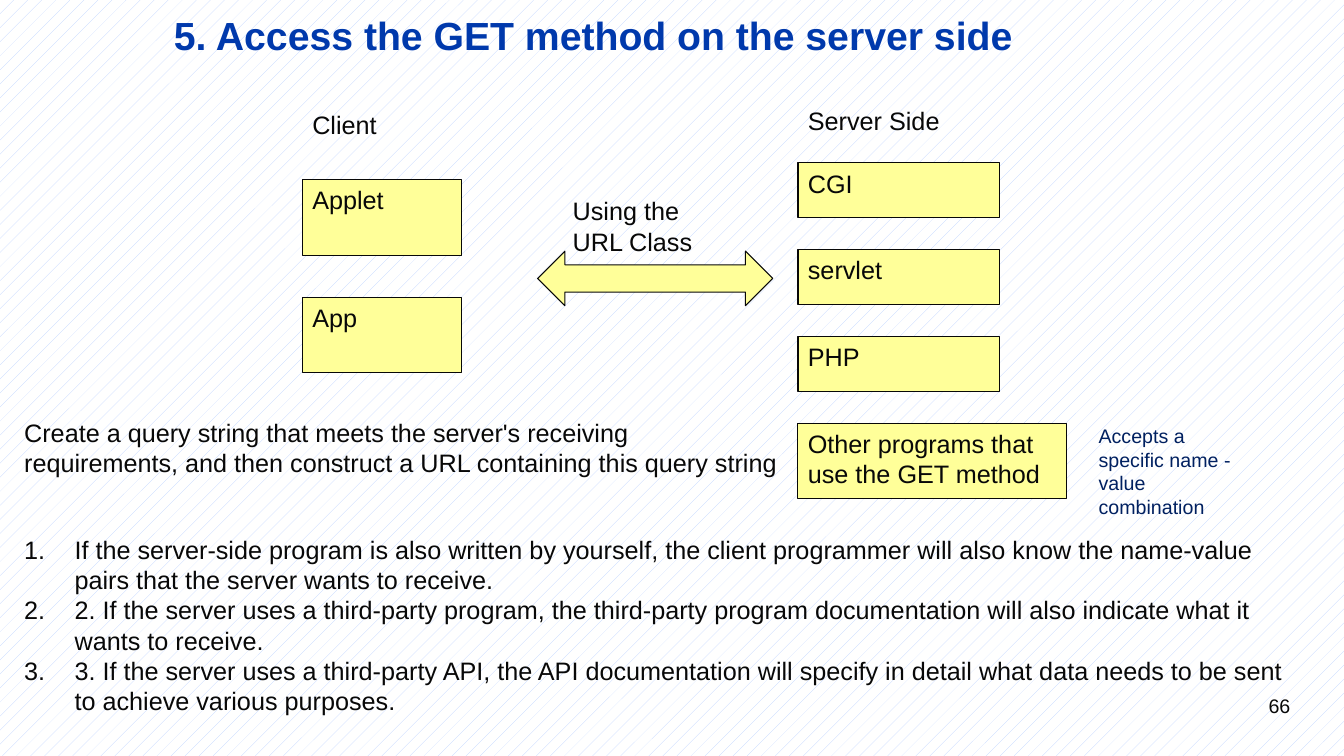
from lxml.etree import SubElement
from pptx import Presentation
from pptx.dml.color import RGBColor
from pptx.enum.dml import MSO_PATTERN
from pptx.enum.shapes import MSO_SHAPE
from pptx.enum.text import MSO_ANCHOR, MSO_AUTO_SIZE, PP_ALIGN
from pptx.oxml.ns import qn
from pptx.util import Inches, Pt

INK = RGBColor(0x08, 0x08, 0x08)
TITLE_BLUE = RGBColor(0x00, 0x39, 0xAC)
NOTE_BLUE = RGBColor(0x00, 0x20, 0x60)
BOX_YELLOW = RGBColor(0xFF, 0xFF, 0x99)
PATTERN_BLUE = RGBColor(0xBB, 0xD2, 0xFF)
WHITE = RGBColor(0xFF, 0xFF, 0xFF)
FONT = "Arial"

COLUMNS, ROWS = 160, 90
SLIDE_WIDTH, SLIDE_HEIGHT = Inches(13.33), Inches(7.5)


def write_text(text_frame, *lines, size=18, color=INK, bold=False,
               align=PP_ALIGN.LEFT, numbered=False):
    """Fill a text frame with one paragraph per line of text."""
    text_frame.word_wrap = True
    text_frame.vertical_anchor = MSO_ANCHOR.TOP
    for index, line in enumerate(lines):
        paragraph = text_frame.add_paragraph() if index else text_frame.paragraphs[0]
        paragraph.text = line
        paragraph.alignment = align
        if numbered:
            properties = paragraph._p.get_or_add_pPr()
            properties.set("marL", str(Inches(0.5)))
            properties.set("indent", str(-Inches(0.5)))
            SubElement(properties, qn("a:buFont"), typeface="+mj-lt")
            SubElement(properties, qn("a:buAutoNum"), type="arabicPeriod")
        for run in paragraph.runs:
            run.font.name = FONT
            run.font.size = Pt(size)
            run.font.bold = bold
            run.font.color.rgb = color


class GridSlide:
    """A slide whose elements are placed as (column, row, columns, rows)."""

    def __init__(self, presentation):
        self.slide = presentation.slides.add_slide(presentation.slide_layouts[5])
        fill = self.slide.background.fill
        fill.patterned()
        fill.pattern = MSO_PATTERN.PERCENT_5
        fill.fore_color.rgb = PATTERN_BLUE
        fill.back_color.rgb = WHITE

    def place(self, column, row, columns, rows):
        cell_width, cell_height = SLIDE_WIDTH / COLUMNS, SLIDE_HEIGHT / ROWS
        return (round(column * cell_width), round(row * cell_height),
                round(columns * cell_width), round(rows * cell_height))

    def title(self, text, *cells):
        title = self.slide.shapes.title
        title.left, title.top, title.width, title.height = self.place(*cells)
        title.text_frame.auto_size = MSO_AUTO_SIZE.NONE
        write_text(title.text_frame, text, size=28, color=TITLE_BLUE, bold=True)

    def label(self, *lines, cells, **text_format):
        box = self.slide.shapes.add_textbox(*self.place(*cells))
        write_text(box.text_frame, *lines, **text_format)

    def block(self, *cells, text="", kind=MSO_SHAPE.RECTANGLE):
        shape = self.slide.shapes.add_shape(kind, *self.place(*cells))
        shape.shadow.inherit = False
        shape.fill.solid()
        shape.fill.fore_color.rgb = BOX_YELLOW
        shape.line.color.rgb = INK
        shape.line.width = Pt(0.75)
        if text:
            write_text(shape.text_frame, text)


def main():
    presentation = Presentation()
    presentation.slide_width, presentation.slide_height = SLIDE_WIDTH, SLIDE_HEIGHT
    page = GridSlide(presentation)
    page.title("5. Access the GET method on the server side", 19.5, 0.7, 112, 9.2)

    # Client side
    client_column = 36
    page.label("Client", cells=(client_column, 12.4, 19, 4.8))
    for index, client in enumerate(("Applet", "App")):
        page.block(client_column, 21.4 + 14 * index, 19, 9, text=client)

    # Server side
    server_column = 95
    page.label("Server Side", cells=(server_column, 12, 19, 4.8))
    servers = (("CGI", 24, 6.5), ("servlet", 24, 6.5), ("PHP", 24, 6.5),
               ("Other programs that use the GET method", 32, 9))
    for index, (server, columns, rows) in enumerate(servers):
        page.block(server_column, 19.4 + 10.33 * index, columns, rows, text=server)
    page.label("Accepts a specific name - value combination",
               cells=(129.6, 49.9, 19.2, 12.5), size=14, color=NOTE_BLUE)

    # Link between the two sides
    page.block(64, 29.9, 28, 6.5, kind=MSO_SHAPE.LEFT_RIGHT_ARROW)
    page.label("Using the URL Class", cells=(67, 22.7, 19, 4.8))

    # Explanations
    text_column = 1.7
    page.label("Create a query string that meets the server's receiving\v"
               "requirements, and then construct a URL containing this query string",
               cells=(text_column, 49.1, 93, 8.5))
    page.label(
        "If the server-side program is also written by yourself, the client programmer "
        "will also know the name-value pairs that the server wants to receive.",
        "2. If the server uses a third-party program, the third-party program "
        "documentation will also indicate what it wants to receive.",
        "3. If the server uses a third-party API, the API documentation will specify "
        "in detail what data needs to be sent to achieve various purposes.",
        cells=(text_column, 63, 155, 23), numbered=True)

    # Slide number
    page.label("66", cells=(114.7, 82, 40.1, 6.2), size=14, align=PP_ALIGN.RIGHT)

    presentation.save("out.pptx")


if __name__ == "__main__":
    main()
